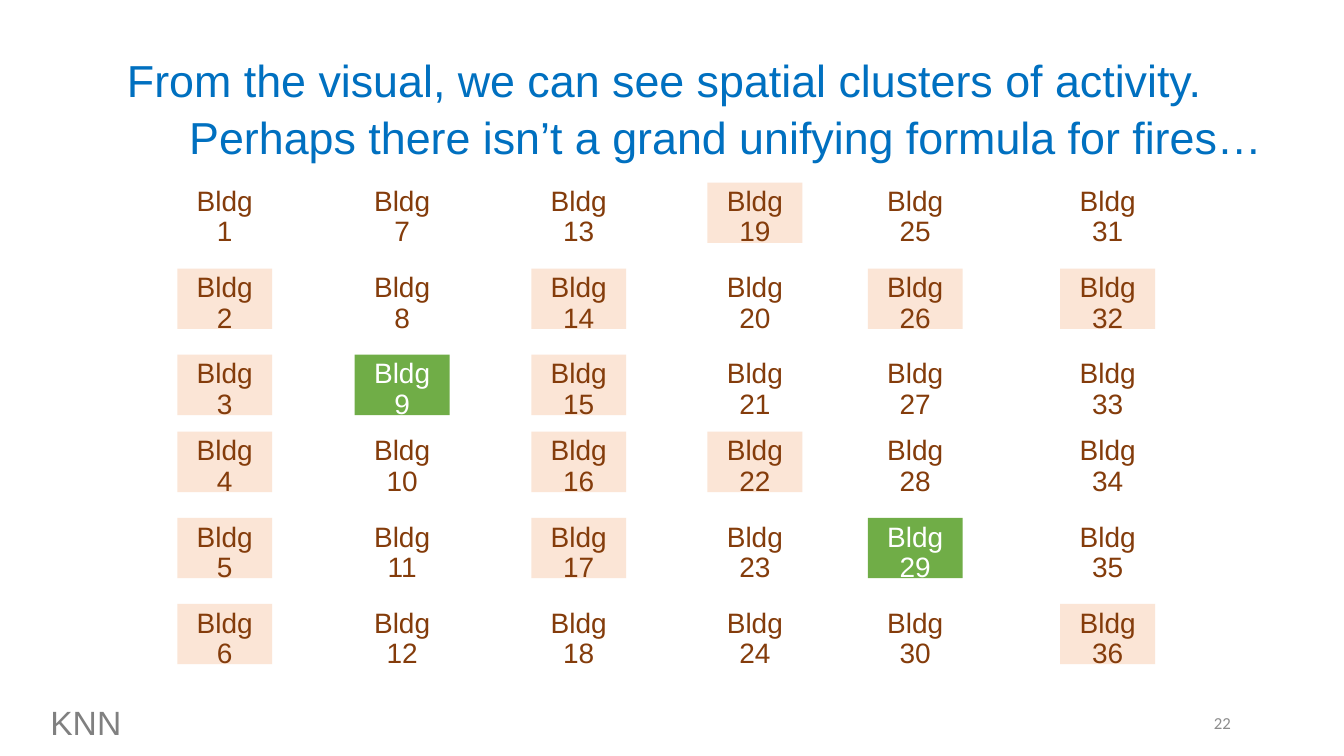
from dataclasses import dataclass
from typing import Optional

from pptx import Presentation
from pptx import util as u
from pptx.dml import color
from pptx.enum import shapes, text

COLORS = {
    "title": "0070C0",
    "building": "843C0B",
    "fire": "FBE5D6",
    "query": "70AD47",
    "white": "FFFFFF",
    "footer": "808080",
    "number": "8C8C8C",
}
COLUMN_LEFTS = (4.47, 8.94, 13.39, 17.83, 21.87, 26.72)
BLOCK_TOPS = (4.6, 10.88)
ROW_PITCH = 2.17
ROW_TOPS = [top + ROW_PITCH * i for top in BLOCK_TOPS for i in range(3)]
FIRES = {2, 3, 4, 5, 6, 14, 15, 16, 17, 19, 22, 26, 32, 36}
QUERIES = {9, 29}


@dataclass
class Label:
    words: str
    left: float
    top: float
    width: float
    height: float
    size: int
    ink: str
    fill: Optional[str] = None
    font: str = "Arial"
    align: text.PP_ALIGN = text.PP_ALIGN.LEFT
    anchor: text.MSO_ANCHOR = text.MSO_ANCHOR.TOP
    line_spacing: float = 1.0
    space_before: int = 0
    hanging: float = 0


def rgb(name: str) -> color.RGBColor:
    return color.RGBColor.from_string(COLORS[name])


def draw_label(s, label: Label) -> None:
    box = [u.Cm(v) for v in (label.left, label.top, label.width, label.height)]
    if label.fill:
        sp = s.shapes.add_shape(shapes.MSO_SHAPE.RECTANGLE, *box)
        sp.shadow.inherit = False
        sp.fill.solid()
        sp.fill.fore_color.rgb = rgb(label.fill)
        sp.line.fill.background()
    else:
        sp = s.shapes.add_textbox(*box)
    tf = sp.text_frame
    tf.word_wrap = True
    tf.vertical_anchor = label.anchor
    p = tf.paragraphs[0]
    p.alignment = label.align
    p.line_spacing = label.line_spacing
    p.space_before = u.Pt(label.space_before)
    if label.hanging:
        pPr = p._p.get_or_add_pPr()
        pPr.set("marL", str(u.Cm(label.hanging)))
        pPr.set("indent", str(-u.Cm(label.hanging)))
    r = p.add_run()
    r.text = label.words
    r.font.name = label.font
    r.font.size = u.Pt(label.size)
    r.font.color.rgb = rgb(label.ink)


def building(number: int) -> Label:
    column, row = divmod(number - 1, len(ROW_TOPS))
    fill = "query" if number in QUERIES else "fire" if number in FIRES else None
    return Label(
        f"Bldg {number}", COLUMN_LEFTS[column], ROW_TOPS[row], 2.39, 1.52, 20,
        "white" if number in QUERIES else "building", fill,
        align=text.PP_ALIGN.CENTER, line_spacing=0.9, space_before=10,
    )


def main() -> None:
    prs = Presentation()
    prs.slide_width, prs.slide_height = u.Cm(33.87), u.Cm(19.05)
    s = prs.slides.add_slide(prs.slide_layouts[6])
    count = len(COLUMN_LEFTS) * len(ROW_TOPS)
    labels = [
        Label("22", 23.65, 17.7, 7.62, 1.02, 12, "number", font="Calibri",
              align=text.PP_ALIGN.RIGHT, anchor=text.MSO_ANCHOR.MIDDLE),
        *(building(n) for n in range(1, count + 1)),
        Label("From the visual, we can see spatial clusters of activity. "
              "Perhaps there isn’t a grand unifying formula for fires…",
              2.95, 1.12, 30.96, 3, 32, "title", line_spacing=1.06, hanging=1.57),
        Label("KNN", 1.02, 17.55, 24.87, 1.27, 24, "footer", "white", hanging=0.05),
    ]
    for label in labels:
        draw_label(s, label)
    prs.save("out.pptx")


if __name__ == "__main__":
    main()
